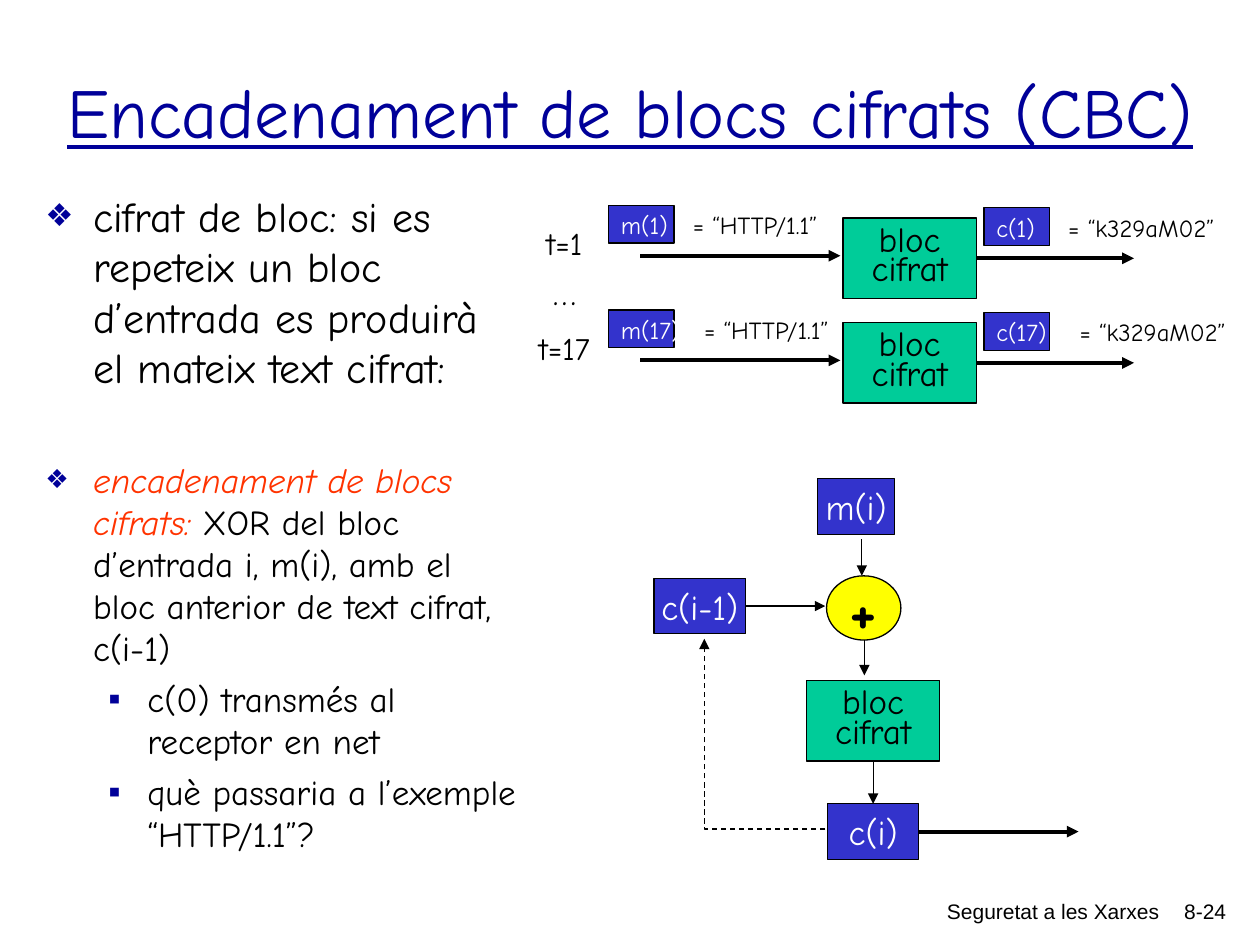
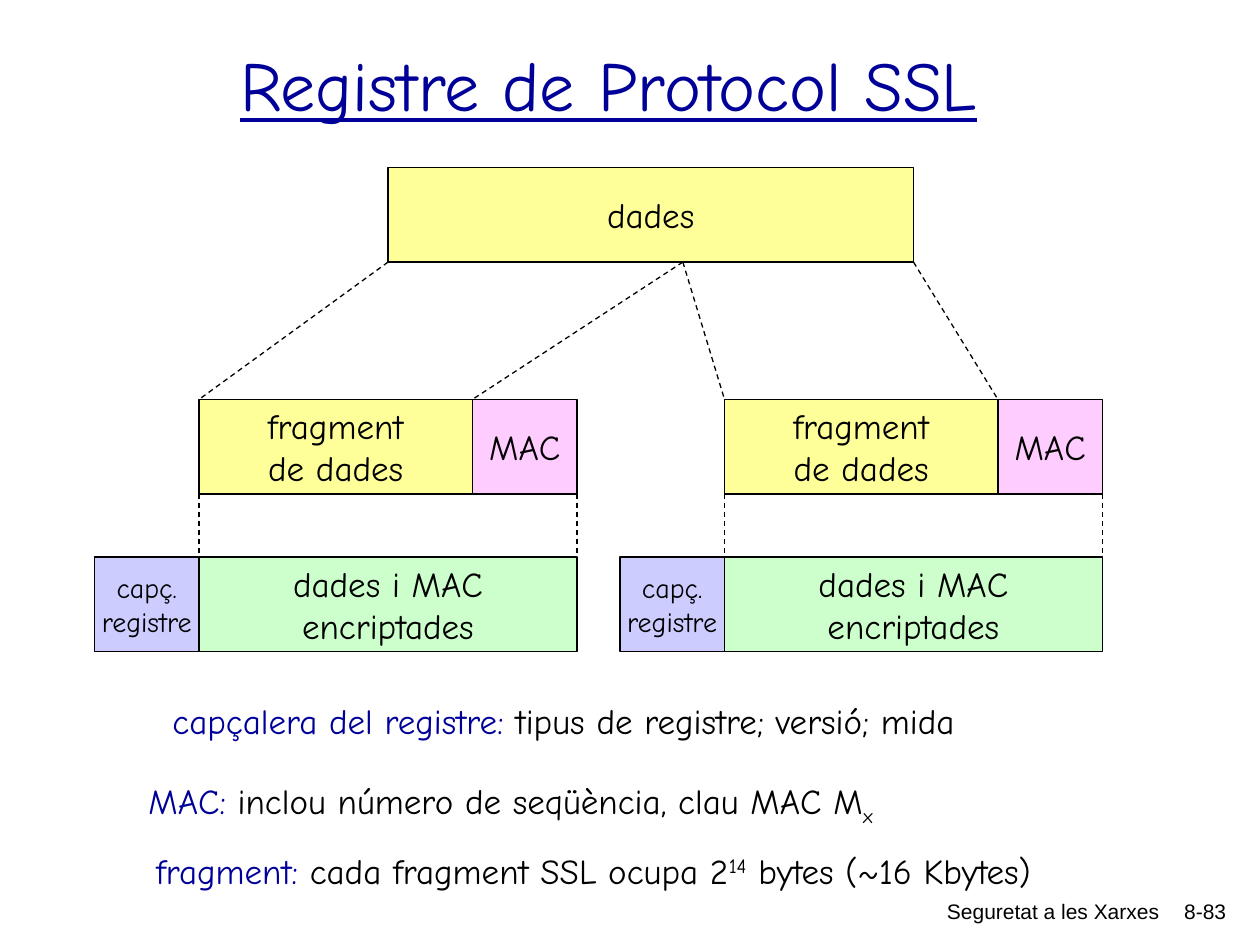
from lxml import etree
from pptx import Presentation
from pptx.dml.color import RGBColor
from pptx.enum.dml import MSO_LINE
from pptx.enum.shapes import MSO_CONNECTOR, MSO_SHAPE
from pptx.enum.text import MSO_ANCHOR, MSO_AUTO_SIZE, PP_ALIGN
from pptx.oxml.ns import qn
from pptx.util import Inches, Pt

RECT, OVAL = MSO_SHAPE.RECTANGLE, MSO_SHAPE.OVAL
STRAIGHT, DASH = MSO_CONNECTOR.STRAIGHT, MSO_LINE.DASH
LEFT, CENTER, RIGHT = PP_ALIGN.LEFT, PP_ALIGN.CENTER, PP_ALIGN.RIGHT
TOP, MIDDLE = MSO_ANCHOR.TOP, MSO_ANCHOR.MIDDLE
SIDE_TOP, SIDE_BOTTOM, SIDE_RIGHT = 0, 2, 3

HAND, SANS = "Comic Neue", "Arial"
BLACK, WHITE, NAVY, RED = "000000", "FFFFFF", "000099", "FF3300"
BLUE, GREEN, YELLOW = "3333CC", "00CC99", "FFFF00"
DATA_FILL, MAC_FILL, HEADER_FILL, SEALED_FILL = "FFFF99", "FFCCFF", "CCCCFF", "CCFFCC"
FOOTER = "Seguretat a les Xarxes"
TITLE_ONLY, TWO_CONTENT = 5, 3


# Shared helpers
def rgb(color):
    return RGBColor.from_string(color)


def place(shape, box):
    shape.left, shape.top, shape.width, shape.height = (Inches(v) for v in box)


def style(run, size, color=BLACK, font=HAND):
    run.font.size = Pt(size)
    run.font.name = font
    run.font.color.rgb = rgb(color)


def write_runs(paragraph, runs, size):
    """Add (text, color) runs and return them."""
    added = []
    for text, color in runs:
        run = paragraph.add_run()
        run.text = text
        style(run, size, color)
        added.append(run)
    return added


def add_label(slide, box, align=LEFT):
    frame = slide.shapes.add_textbox(*(Inches(v) for v in box)).text_frame
    frame.word_wrap = True
    frame.paragraphs[0].alignment = align
    return frame.paragraphs[0]


def outline(line, width=0.75, dashed=False):
    line.color.rgb = rgb(BLACK)
    line.width = Pt(width)
    if dashed:
        line.dash_style = DASH


def add_arrowhead(shape):
    etree.SubElement(shape.line._get_or_add_ln(), qn("a:tailEnd"), type="triangle")


def add_box(slide, box, fill, text="", size=20, color=BLACK, kind=RECT, spacing=None):
    shape = slide.shapes.add_shape(kind, *(Inches(v) for v in box))
    shape.shadow.inherit = False
    shape.fill.solid()
    shape.fill.fore_color.rgb = rgb(fill)
    outline(shape.line)
    frame = shape.text_frame
    frame.text = text
    frame.word_wrap = False
    frame.vertical_anchor = MIDDLE
    for paragraph in frame.paragraphs:
        paragraph.alignment = CENTER
        if spacing:
            paragraph.line_spacing = spacing
        for run in paragraph.runs:
            style(run, size, color)
    return shape


def add_line(slide, start, end, width=0.75, dashed=False, arrow=True):
    line = slide.shapes.add_connector(STRAIGHT, *(Inches(v) for v in (*start, *end)))
    outline(line.line, width, dashed)
    if arrow:
        add_arrowhead(line)
    etree.SubElement(line._element.spPr, qn("a:effectLst"))
    return line


def set_bullet(paragraph, char, margin, indent, percent=100):
    props = paragraph._p.get_or_add_pPr()
    props.set("marL", str(Inches(margin)))
    props.set("indent", str(Inches(indent)))
    color = etree.SubElement(props, qn("a:buClr"))
    etree.SubElement(color, qn("a:srgbClr"), val=NAVY)
    etree.SubElement(props, qn("a:buSzPct"), val=str(percent * 1000))
    etree.SubElement(props, qn("a:buChar"), char=char)


def start_slide(prs, layout, title, title_box, number):
    """Slide with the common title style and footer."""
    slide = prs.slides.add_slide(prs.slide_layouts[layout])
    heading = slide.shapes.title
    place(heading, title_box)
    frame = heading.text_frame
    frame.text = title
    frame.auto_size = MSO_AUTO_SIZE.NONE
    frame.vertical_anchor = MIDDLE
    frame.paragraphs[0].alignment = CENTER
    run = frame.paragraphs[0].runs[0]
    style(run, 40, NAVY)
    run.font.underline = True
    for text, box in ((FOOTER, (5.08, 7.08, 4.22, 0.34)), (number, (9.09, 7.08, 0.74, 0.34))):
        note = add_label(slide, box, RIGHT)
        note.text = text
        style(note.runs[0], 12, font=SANS)
    return slide


# Cipher block chaining
def fill_list(body, box, items, size):
    """Items are (level, runs)."""
    place(body, box)
    frame = body.text_frame
    frame.auto_size = MSO_AUTO_SIZE.NONE
    frame.vertical_anchor = TOP
    for i, (level, runs) in enumerate(items):
        paragraph = frame.add_paragraph() if i else frame.paragraphs[0]
        paragraph.level = level
        paragraph.space_before = Pt(5 if i else 0)
        if level:
            set_bullet(paragraph, "▪", 0.81, -0.31)
        else:
            set_bullet(paragraph, "❖", 0.38, -0.38, 75)
        write_runs(paragraph, runs, size)


def add_cipher(slide, x, y):
    return add_box(slide, (x, y, 1.06, 0.64), GREEN, "bloc\ncifrat", spacing=0.7)


def add_chip(slide, x, y, name, value, tab):
    """Small blue block with its name, followed by its value at a tab stop."""
    add_box(slide, (x, y + 0.01, 0.52, 0.3), BLUE)
    label = add_label(slide, (x, y, 2.1, 0.34))
    tabs = etree.SubElement(label._p.get_or_add_pPr(), qn("a:tabLst"))
    etree.SubElement(tabs, qn("a:tab"), pos=str(Inches(tab)), algn="l")
    write_runs(label, ((name, WHITE), (f"\t= “{value}”", BLACK)), 14)


def add_time_row(slide, x, y, step, tab):
    time = add_label(slide, (x, y + 0.11, 0.9, 0.4), CENTER)
    time.text = f"t={step}"
    style(time.runs[0], 18)
    cipher = add_cipher(slide, x + 2.66, y + 0.11)
    add_chip(slide, x + 0.8, y, f"m({step})", "HTTP/1.1", tab)
    add_chip(slide, x + 3.78, y + 0.02, f"c({step})", "k329aM02", tab)
    add_line(slide, (x + 1.05, y + 0.41), (x + 2.64, y + 0.41), 2.25)
    output = add_line(slide, (x + 3.73, y + 0.43), (x + 4.97, y + 0.43), 2.25)
    output.begin_connect(cipher, SIDE_RIGHT)


def add_chain(slide, x, y):
    """Chaining diagram whose top left corner is (x, y)."""
    add_box(slide, (x + 1.3, y, 0.61, 0.44), BLUE, "m(i)", color=WHITE)
    previous = add_box(slide, (x, y + 0.79, 0.73, 0.44), BLUE, "c(i-1)", color=WHITE)
    xor = add_box(slide, (x + 1.37, y + 0.77, 0.59, 0.51), YELLOW, "+", 36, kind=OVAL)
    xor.text_frame.paragraphs[0].runs[0].font.bold = True
    cipher = add_cipher(slide, x + 1.21, y + 1.6)
    current = add_box(slide, (x + 1.38, y + 2.58, 0.72, 0.44), BLUE, "c(i)", color=WHITE)

    add_line(slide, (x + 1.65, y + 0.48), (x + 1.65, y + 0.77))
    add_line(slide, (x + 1.67, y + 1.28), (x + 1.67, y + 1.56))
    chained = add_line(slide, (x + 0.73, y + 1.01), (x + 1.36, y + 1.01))
    chained.begin_connect(previous, SIDE_RIGHT)
    result = add_line(slide, (x + 1.74, y + 2.24), (x + 1.74, y + 2.58))
    result.begin_connect(cipher, SIDE_BOTTOM)
    result.end_connect(current, SIDE_TOP)
    output = add_line(slide, (x + 2.1, y + 2.8), (x + 3.37, y + 2.8), 2.25)
    output.begin_connect(current, SIDE_RIGHT)

    # Feedback from c(i) to c(i-1)
    turn = Inches(x + 0.4)
    builder = slide.shapes.build_freeform(Inches(x + 1.36), Inches(y + 2.78))
    builder.add_line_segments([(turn, Inches(y + 2.78)), (turn, Inches(y + 1.27))], close=False)
    feedback = builder.convert_to_shape()
    feedback.shadow.inherit = False
    feedback.fill.background()
    outline(feedback.line, dashed=True)
    add_arrowhead(feedback)


def build_chaining(prs):
    slide = start_slide(prs, TWO_CONTENT, "Encadenament de blocs cifrats (CBC)",
                        (0.3, 0.25, 9.4, 1.25), "8-24")
    problem, solution = list(slide.placeholders)[1:3]
    fill_list(problem, (0.26, 1.46, 3.86, 1.91), [
        (0, [("cifrat de bloc: si es repeteix un bloc d’entrada es produirà "
              "el mateix text cifrat:", BLACK)]),
    ], 24)
    fill_list(solution, (0.26, 3.59, 3.96, 3.3), [
        (0, [("encadenament de blocs cifrats:", RED),
             (" XOR del bloc d’entrada i, m(i), amb el bloc anterior de text cifrat, c(i-1)",
              BLACK)]),
        (1, [("c(0) transmés al receptor en net", BLACK)]),
        (1, [("què passaria a l’exemple “HTTP/1.1”?", BLACK)]),
    ], 20)
    solution.text_frame.paragraphs[0].runs[0].font.italic = True

    for y, step, tab in ((1.62, 1, 0.57), (2.45, 17, 0.66)):
        add_time_row(slide, 4.03, y, step, tab)
    dots = add_label(slide, (4.23, 2.1, 0.5, 0.44), CENTER)
    dots.text = "…"
    style(dots.runs[0], 20)
    add_chain(slide, 5.19, 3.8)


# SSL record protocol
def add_record(slide, x, y, source_left, source_right, source_y):
    """One record: data fragment with MAC above, header with sealed data below."""
    header, fragment, height, drop = 0.83, 2.17, 0.75, 1.25
    start, mac = x + header, x + header + fragment
    end, lower = mac + header, y + drop
    add_box(slide, (start, y, fragment, height), DATA_FILL, "fragment\nde dades")
    add_box(slide, (mac, y, header, height), MAC_FILL, "MAC")
    add_box(slide, (start, lower, end - start, height), SEALED_FILL, "dades i MAC\nencriptades")
    add_box(slide, (x, lower, header, height), HEADER_FILL, "capç.\nregistre", 16)
    for begin, finish in (((source_left, source_y), (start, y)),
                          ((source_right, source_y), (mac, y)),
                          ((start, y + height), (start, lower)),
                          ((end, y + height), (end, lower))):
        add_line(slide, begin, finish, dashed=True, arrow=False)


def add_note(slide, x, y, term, *texts):
    note = add_label(slide, (x, y, 7.4, 0.44))
    return write_runs(note, [(term, NAVY)] + [(text, BLACK) for text in texts], 20)


def set_baseline(run, percent):
    run.font._element.set("baseline", str(percent * 1000))


def build_record(prs):
    slide = start_slide(prs, TITLE_ONLY, "Registre de Protocol SSL",
                        (0.58, 0.13, 8.5, 1.06), "8-83")
    add_box(slide, (3.08, 1.33, 4.17, 0.75), DATA_FILL, "dades")
    cuts = (3.08, 5.42, 7.25)
    for i in range(2):
        add_record(slide, 0.75 + 4.17 * i, 3.17, cuts[i], cuts[i + 1], 2.08)

    add_note(slide, 1.27, 5.5, "capçalera del registre:", " tipus de registre; versió; mida")
    mac = add_note(slide, 1.08, 6.14, "MAC:", " inclou número de seqüència, clau MAC M", "x")
    set_baseline(mac[2], -25)
    size = add_note(slide, 1.14, 6.69, "fragment:", " cada fragment SSL ocupa 2", "14",
                    " bytes (~16 Kbytes)")
    set_baseline(size[2], 30)


def main():
    prs = Presentation()
    prs.slide_width, prs.slide_height = Inches(10), Inches(7.5)
    build_chaining(prs)
    build_record(prs)
    prs.save("out.pptx")


if __name__ == "__main__":
    main()
